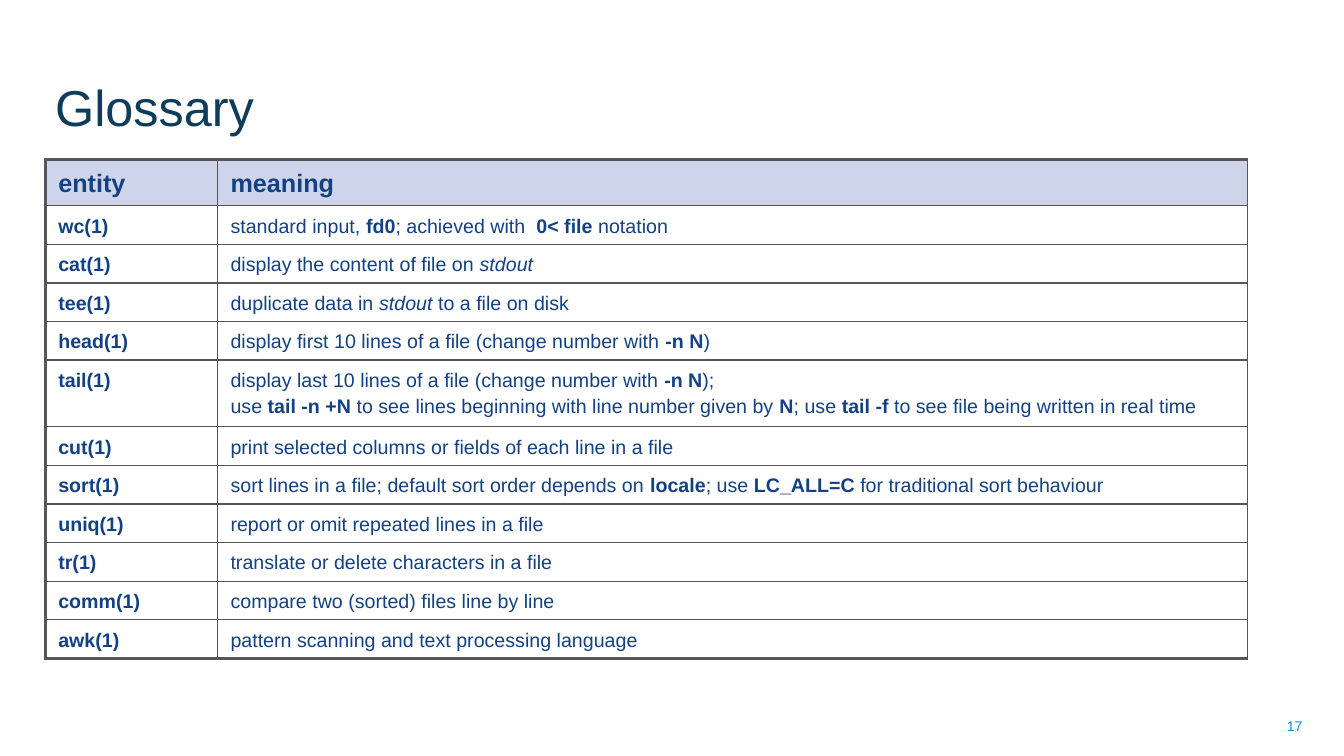
import pptx
import pptx.dml.color
import pptx.enum.text
import pptx.oxml
import pptx.oxml.ns
import pptx.util
from pptx.util import Cm

NAVY = "134183"
GREY = "565759"


def color(value):
    return pptx.dml.color.RGBColor.from_string(value)


def add_run(paragraph, text, size, value, style=""):
    run = paragraph.add_run()
    run.text = text
    run.font.name = "Arial"
    run.font.size = pptx.util.Pt(size)
    run.font.color.rgb = color(value)
    run.font.bold = style == "b"
    run.font.italic = style == "i"


entries = [
    ("entity", [("meaning", "b")]),
    ("wc(1)", [("standard input, ", ""), ("fd0", "b"), ("; achieved with  ", ""),
               ("0< file", "b"), (" notation", "")]),
    ("cat(1)", [("display the content of file on ", ""), ("stdout", "i")]),
    ("tee(1)", [("duplicate data in ", ""), ("stdout", "i"), (" to a file on disk", "")]),
    ("head(1)", [("display first 10 lines of a file (change number with ", ""),
                 ("-n N", "b"), (")", "")]),
    ("tail(1)", [("display last 10 lines of a file (change number with ", ""),
                 ("-n N", "b"), (");", ""), ("\n", ""), ("use ", ""), ("tail -n +N", "b"),
                 (" to see lines beginning with line number given by ", ""), ("N", "b"),
                 ("; use ", ""), ("tail -f", "b"),
                 (" to see file being written in real time", "")]),
    ("cut(1)", [("print selected columns or fields of each line in a file", "")]),
    ("sort(1)", [("sort lines in a file; default sort order depends on ", ""),
                 ("locale", "b"), ("; use ", ""), ("LC_ALL=C", "b"),
                 (" for traditional sort behaviour", "")]),
    ("uniq(1)", [("report or omit repeated lines in a file", "")]),
    ("tr(1)", [("translate or delete characters in a file", "")]),
    ("comm(1)", [("compare two (sorted) files line by line", "")]),
    ("awk(1)", [("pattern scanning and text processing language", "")]),
]

deck = pptx.Presentation()
deck.slide_width = Cm(33.87)
deck.slide_height = Cm(19.05)
slide = deck.slides.add_slide(deck.slide_layouts[6])

align = pptx.enum.text.PP_ALIGN
anchor = pptx.enum.text.MSO_ANCHOR
for text, left, top, width, height, size, value, side, hold in [
    ("17", 25.17, 17.78, 7.9, 1.02, 10, "008FD0", align.RIGHT, anchor.MIDDLE),
    ("Glossary", 1.14, 0.36, 25.35, 3.2, 36, "0D3D59", align.LEFT, anchor.BOTTOM),
]:
    frame = slide.shapes.add_textbox(Cm(left), Cm(top), Cm(width), Cm(height)).text_frame
    frame.word_wrap = True
    frame.vertical_anchor = hold
    frame.paragraphs[0].alignment = side
    add_run(frame.paragraphs[0], text, size, value)

glossary = slide.shapes.add_table(
    len(entries), 2, Cm(1.14), Cm(4.01), Cm(30.3), Cm(11.9)).table
glossary.columns[0].width = Cm(4.34)
glossary.columns[1].width = Cm(25.96)
last = len(entries) - 1

for row, (entity, meaning) in enumerate(entries):
    two_lines = ("\n", "") in meaning
    glossary.rows[row].height = Cm(1.11 if row == 0 else 1.58 if two_lines else 0.92)
    for column, pieces in enumerate([[(entity, "b")], meaning]):
        cell = glossary.cell(row, column)
        cell.margin_left = cell.margin_right = Cm(0.33)
        cell.margin_top = cell.margin_bottom = Cm(0.13)
        paragraph = cell.text_frame.paragraphs[0]
        paragraph.line_spacing = 1.2
        for text, style in pieces:
            if text == "\n":
                paragraph.add_line_break()
            else:
                add_run(paragraph, text, 18 if row == 0 else 14, NAVY, style)

        properties = cell._tc.get_or_add_tcPr()
        for edge, thick in [("L", column == 0), ("R", False),
                            ("T", row == 0), ("B", row == last)]:
            width = pptx.util.Pt(2.25 if thick else 1)
            properties.append(pptx.oxml.parse_xml(
                f'<a:ln{edge} {pptx.oxml.ns.nsdecls("a")} w="{width}">'
                f'<a:solidFill><a:srgbClr val="{GREY}"/></a:solidFill></a:ln{edge}>'))
        if row == 0:
            cell.fill.solid()
            cell.fill.fore_color.rgb = color("CED5EA")
        else:
            cell.fill.background()

deck.save("out.pptx")
